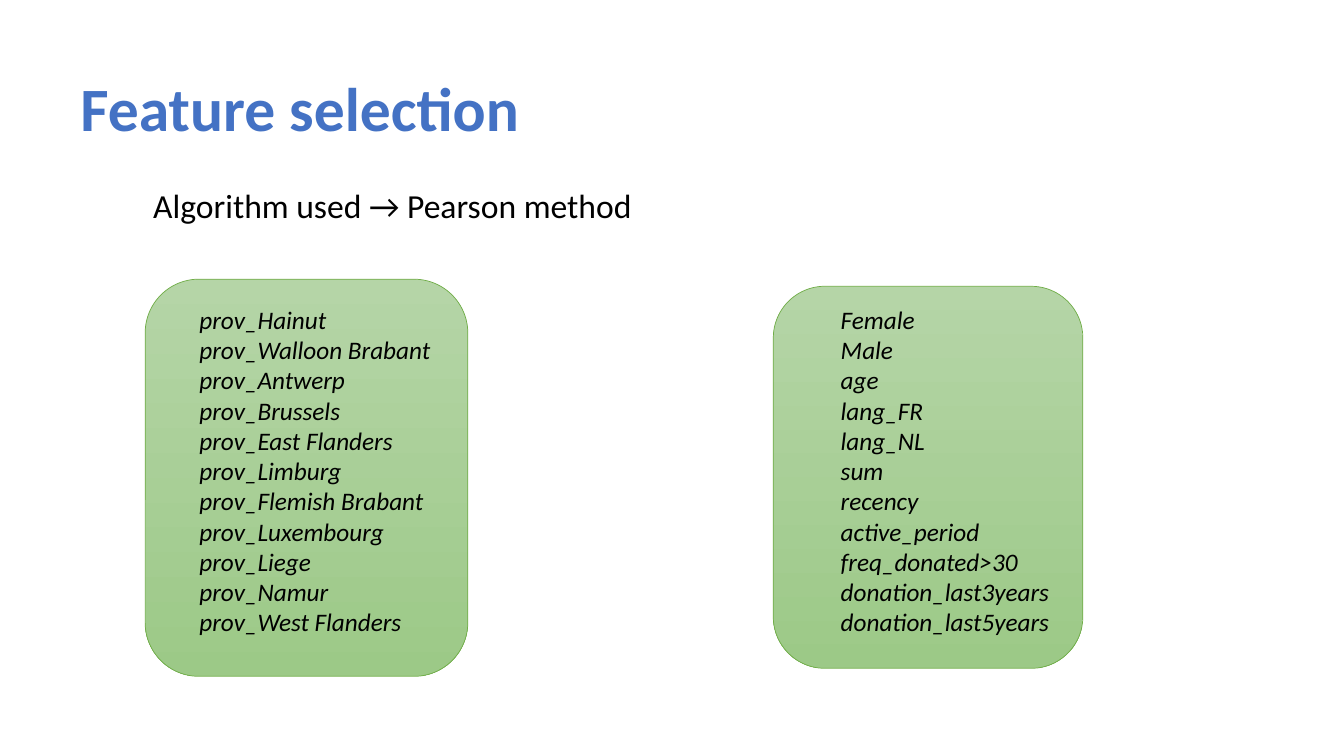
from pptx import Presentation
from pptx.dml.color import RGBColor
from pptx.enum.shapes import MSO_SHAPE
from pptx.enum.text import MSO_ANCHOR
from pptx.util import Inches, Pt

PANEL_SHAPE = MSO_SHAPE.FLOWCHART_ALTERNATE_PROCESS
MIDDLE, TOP = MSO_ANCHOR.MIDDLE, MSO_ANCHOR.TOP
FONT = "Calibri"
COLORS = {"title": "4472C4", "text": "000000", "panel_top": "B5D5A7",
          "panel_bottom": "9CC987", "panel_line": "70AD47"}

TITLE = "Feature selection"
METHOD = "Algorithm used → Pearson method"
FEATURE_GROUPS = [
    {"panel": (1.44, 2.77, 3.2, 3.94), "list": (1.88, 2.97, 3.56, 3.43),
     "features": ["prov_Hainut", "prov_Walloon Brabant", "prov_Antwerp",
                  "prov_Brussels", "prov_East Flanders", "prov_Limburg",
                  "prov_Flemish Brabant", "prov_Luxembourg", "prov_Liege",
                  "prov_Namur", "prov_West Flanders"]},
    {"panel": (7.67, 2.84, 3.07, 3.79), "list": (8.24, 2.97, 3.49, 4.04),
     "features": ["Female", "Male", "age", "lang_FR", "lang_NL", "sum",
                  "recency", "active_period", "freq_donated>30",
                  "donation_last3years", "donation_last5years"]},
]


def rgb(name):
    """Return the named palette colour."""
    return RGBColor.from_string(COLORS[name])


def add_text(slide, box, lines, size, color="text", bold=False, italic=False,
             anchor=TOP, spacing=1.0, before=0, indent=0):
    """Add a text box with one paragraph per line."""
    frame = slide.shapes.add_textbox(*map(Inches, box)).text_frame
    frame.word_wrap = True
    frame.vertical_anchor = anchor
    frame.margin_left = Inches(0.1 + indent)
    frame.text = "\n".join(lines)
    for paragraph in frame.paragraphs:
        paragraph.line_spacing = spacing
        paragraph.space_before = Pt(before)
        font = paragraph.runs[0].font
        font.name, font.size = FONT, Pt(size)
        font.bold, font.italic = bold, italic
        font.color.rgb = rgb(color)


def add_panel(slide, box):
    """Add a rounded panel with a vertical green gradient."""
    panel = slide.shapes.add_shape(PANEL_SHAPE, *map(Inches, box))
    panel.shadow.inherit = False
    panel.fill.gradient()
    panel.fill.gradient_angle = 270
    for stop, name in zip(panel.fill.gradient_stops, ("panel_top", "panel_bottom")):
        stop.color.rgb = rgb(name)
    panel.line.color.rgb = rgb("panel_line")
    panel.line.width = Pt(0.5)


def main():
    """Build and save the feature selection slide."""
    deck = Presentation()
    deck.slide_width, deck.slide_height = Inches(13.33), Inches(7.5)
    slide = deck.slides.add_slide(deck.slide_layouts[6])
    add_text(slide, (0.7, 0.38, 11.5, 1.45), [TITLE], 44, "title",
             bold=True, anchor=MIDDLE, spacing=0.9)
    add_text(slide, (0.92, 1.83, 11.5, 0.6), [METHOD], 24,
             spacing=0.9, before=5, indent=0.5)
    for group in FEATURE_GROUPS:
        add_panel(slide, group["panel"])
        add_text(slide, group["list"], group["features"], 18, italic=True)
    deck.save("out.pptx")


if __name__ == "__main__":
    main()
